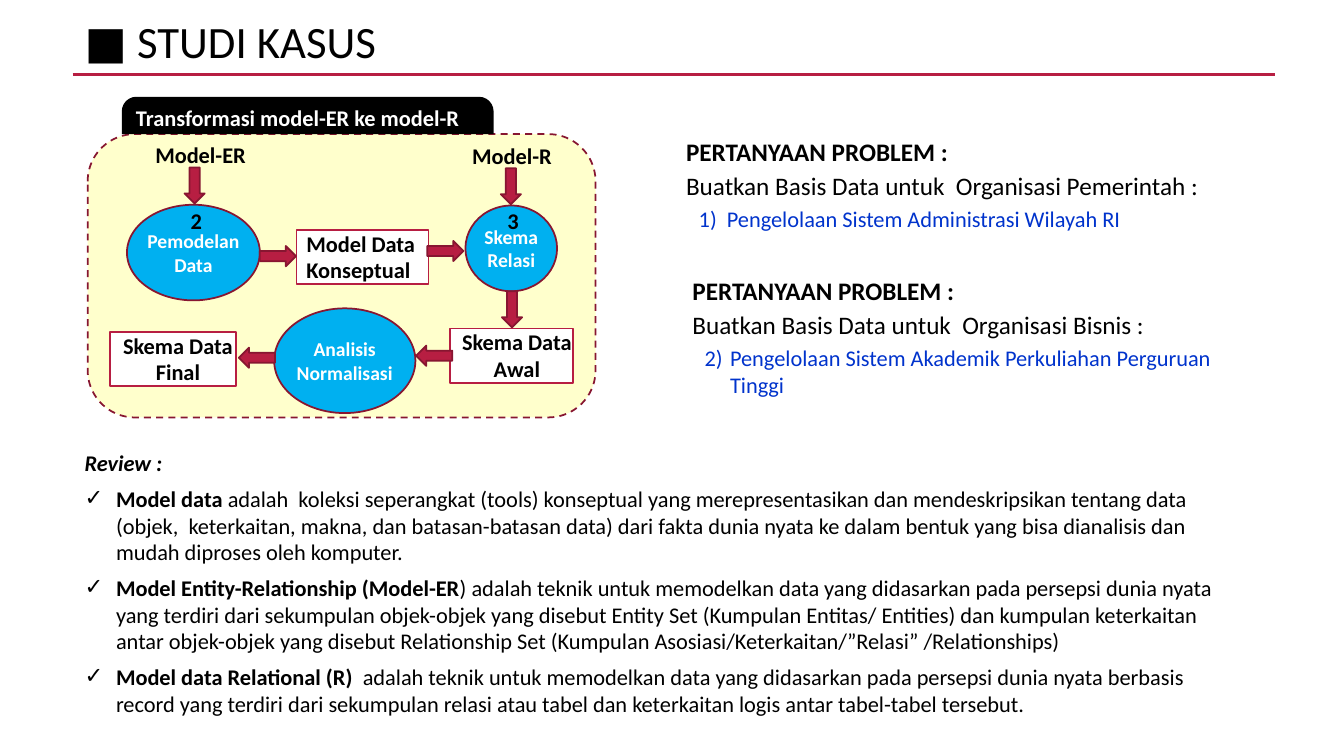
from dataclasses import dataclass

from lxml import etree
from pptx import Presentation
from pptx import util as u
from pptx.dml.color import RGBColor
from pptx.enum import dml, shapes, text
from pptx.oxml.ns import qn

FONT = "Calibri"
BLACK, WHITE, RED, DARK = "000000", "FFFFFF", "B71E42", "871631"
BLUE, SKY, CREAM = "0033CC", "00B0F0", "FFFFCC"
KIND = shapes.MSO_SHAPE
MID, LEFT = text.PP_ALIGN.CENTER, text.PP_ALIGN.LEFT


@dataclass
class Node:
    kind: KIND
    words: str
    left: float
    top: float
    width: float
    height: float
    align: text.PP_ALIGN = MID


@dataclass
class Arrow:
    kind: KIND
    left: float
    top: float


@dataclass
class Label:
    words: str
    left: float
    top: float
    width: float


@dataclass
class Task:
    left: float
    top: float
    height: float
    goal: str
    item: str
    margin: float
    indent: float


NODES = [
    Node(KIND.RECTANGLE, "Model Data\nKonseptual", 7.47, 5.79, 3.33, 1.37, LEFT),
    Node(KIND.OVAL, "Pemodelan\nData", 3.2, 5.16, 3.35, 2.41),
    Node(KIND.OVAL, "Skema\nRelasi", 11.73, 5.18, 2.31, 2.16),
    Node(KIND.OVAL, "Analisis\nNormalisasi", 6.91, 7.77, 3.56, 2.64),
    Node(KIND.RECTANGLE, "Skema Data\nAwal", 11.35, 8.28, 3.1, 1.37),
    Node(KIND.RECTANGLE, "Skema Data\nFinal", 2.77, 8.36, 3.18, 1.37),
]
ARROWS = [
    Arrow(KIND.DOWN_ARROW, 4.65, 4.22),
    Arrow(KIND.RIGHT_ARROW, 6.55, 6.2),
    Arrow(KIND.DOWN_ARROW, 12.62, 4.24),
    Arrow(KIND.RIGHT_ARROW, 10.77, 6.07),
    Arrow(KIND.DOWN_ARROW, 12.65, 7.34),
    Arrow(KIND.LEFT_ARROW, 10.49, 8.71),
    Arrow(KIND.LEFT_ARROW, 6.02, 8.76),
]
LABELS = [
    Label("Model-ER", 3.38, 3.56, 3.1),
    Label("Model-R", 11.23, 3.58, 3.1),
    Label("2", 4.47, 5.21, 0.71),
    Label("3", 12.45, 5.21, 0.71),
]
TASKS = [
    Task(17.04, 3.3, 2.77, "Buatkan Basis Data untuk  Organisasi Pemerintah :",
         "1)  Pengelolaan Sistem Administrasi Wilayah RI", 0.32, 0),
    Task(17.2, 6.81, 3.38, "Buatkan Basis Data untuk  Organisasi Bisnis :",
         "2) \tPengelolaan Sistem Akademik Perkuliahan Perguruan Tinggi", 0.95, -0.64),
]
REVIEW = [
    ("Model data ", "adalah  koleksi seperangkat (tools) konseptual yang merepresentasikan dan "
     "mendeskripsikan tentang data (objek,  keterkaitan, makna, dan batasan-batasan data) dari "
     "fakta dunia nyata ke dalam bentuk yang bisa dianalisis dan mudah diproses oleh komputer."),
    ("Model Entity-Relationship (Model-ER", ") adalah teknik untuk memodelkan data yang "
     "didasarkan pada persepsi dunia nyata yang terdiri dari sekumpulan objek-objek yang disebut "
     "Entity Set (Kumpulan Entitas/ Entities) dan kumpulan keterkaitan antar objek-objek yang "
     "disebut Relationship Set (Kumpulan Asosiasi/Keterkaitan/”Relasi” /Relationships)"),
    ("Model data Relational (R)  ", "adalah teknik untuk memodelkan data yang didasarkan pada "
     "persepsi dunia nyata berbasis record yang terdiri dari sekumpulan relasi atau tabel dan "
     "keterkaitan logis antar tabel-tabel tersebut."),
]


def tint(code: str) -> RGBColor:
    return RGBColor.from_string(code)


def place(shape, left: float, top: float, width: float, height: float) -> None:
    shape.left, shape.top = u.Cm(left), u.Cm(top)
    shape.width, shape.height = u.Cm(width), u.Cm(height)


def style(para, size: float, color: str = BLACK, bold: bool | None = None) -> None:
    para.font.name, para.font.size = FONT, u.Pt(size)
    para.font.color.rgb = tint(color)
    para.font.bold = bold


def indent(para, margin: float, first: float, mark: str = "") -> None:
    props = para._p.get_or_add_pPr()
    props.set("marL", str(u.Cm(margin)))
    props.set("indent", str(u.Cm(first)))
    bullet = etree.Element(qn("a:buChar" if mark else "a:buNone"))
    if mark:
        bullet.set("char", mark)
    ends = [child for child in props if child.tag == qn("a:defRPr")]
    if ends:
        ends[0].addprevious(bullet)
    else:
        props.append(bullet)


def write(shape, words: str, size: float, color: str, align=MID, inset: float = 0.25) -> None:
    frame = shape.text_frame
    frame.word_wrap = True
    frame.margin_left = u.Cm(inset)
    frame.margin_top = frame.margin_right = frame.margin_bottom = 0
    frame.text = words
    for para in frame.paragraphs:
        para.alignment = align
        style(para, size, color, True)


def draw(slide, kind: KIND, box: tuple, fill: str, line: str = ""):
    shape = slide.shapes.add_shape(kind, *map(u.Cm, box))
    shape._element.remove(shape._element.find(qn("p:style")))
    shape.shadow.inherit = False
    shape.fill.solid()
    shape.fill.fore_color.rgb = tint(fill)
    if line:
        shape.line.color.rgb = tint(line)
        shape.line.width = u.Pt(1.25)
    else:
        shape.line.fill.background()
    return shape


def add_node(slide, node: Node) -> None:
    oval = node.kind == KIND.OVAL
    box = (node.left, node.top, node.width, node.height)
    shape = draw(slide, node.kind, box, SKY if oval else WHITE, DARK if oval else RED)
    write(shape, node.words, 14 if oval else 16, WHITE if oval else BLACK,
          node.align, 0 if oval else 0.25)
    anchor = text.MSO_ANCHOR
    shape.text_frame.vertical_anchor = anchor.MIDDLE if oval else anchor.TOP


def add_arrow(slide, arrow: Arrow) -> None:
    size = (0.51, 0.91) if arrow.kind == KIND.DOWN_ARROW else (0.91, 0.51)
    draw(slide, arrow.kind, (arrow.left, arrow.top, *size), RED, DARK)


def add_label(slide, label: Label) -> None:
    box = slide.shapes.add_textbox(*map(u.Cm, (label.left, label.top, label.width, 0.69)))
    write(box, label.words, 16, BLACK)


def add_task(slide, task: Task) -> None:
    box = slide.shapes.add_textbox(*map(u.Cm, (task.left, task.top, 13.89, task.height)))
    frame = box.text_frame
    frame.word_wrap = True
    frame.text = "\n".join(["PERTANYAAN PROBLEM :", task.goal, task.item])
    head, goal, item = frame.paragraphs
    style(head, 18, bold=True)
    style(goal, 18)
    style(item, 16, BLUE)
    indent(item, task.margin, task.indent)
    for para in frame.paragraphs:
        para.space_after = u.Pt(3)


def add_title(slide) -> None:
    title = slide.shapes.title
    place(title, 1.88, 0.36, 31.24, 1.37)
    frame = title.text_frame
    frame.text = "■ STUDI KASUS"
    frame.auto_size = text.MSO_AUTO_SIZE.NONE
    frame.vertical_anchor = text.MSO_ANCHOR.TOP
    para = frame.paragraphs[0]
    para.alignment, para.line_spacing = LEFT, 0.9
    style(para, 32)
    rule = slide.shapes.add_connector(shapes.MSO_CONNECTOR.STRAIGHT,
                                      *map(u.Cm, (1.83, 1.88, 32.13, 1.88)))
    rule.line.color.rgb, rule.line.width = tint(RED), u.Pt(2.5)
    etree.SubElement(rule._element.spPr, qn("a:effectLst"))


def add_review(slide) -> None:
    body = slide.placeholders[1]
    place(body, 1.88, 11.2, 29.51, 7.06)
    frame = body.text_frame
    frame.auto_size = text.MSO_AUTO_SIZE.NONE
    frame.text = "Review :"
    head = frame.paragraphs[0]
    style(head, 16, bold=True)
    head.font.italic = True
    indent(head, 0, 0)
    for term, rest in REVIEW:
        para = frame.add_paragraph()
        style(para, 16)
        indent(para, 0.79, -0.79, "✓")
        for words, bold in ((term, True), (rest, False)):
            run = para.add_run()
            run.text, run.font.bold = words, bold
    for para in frame.paragraphs:
        para.space_before, para.space_after = u.Pt(0), u.Pt(6)


def main() -> None:
    deck = Presentation()
    deck.slide_width, deck.slide_height = u.Cm(33.87), u.Cm(19.05)
    slide = deck.slides.add_slide(deck.slide_layouts[1])
    add_title(slide)
    panel = draw(slide, KIND.ROUNDED_RECTANGLE, (2.21, 3.38, 12.8, 7.14), CREAM, DARK)
    panel.line.dash_style = dml.MSO_LINE.DASH
    for node in NODES:
        add_node(slide, node)
    for arrow in ARROWS:
        add_arrow(slide, arrow)
    for label in LABELS:
        add_label(slide, label)
    tab = draw(slide, KIND.ROUND_2_SAME_RECTANGLE, (3.07, 2.44, 9.37, 0.94), BLACK)
    tab.adjustments[0] = 0.39
    write(tab, "Transformasi model-ER ke model-R", 16, WHITE, LEFT)
    tab.text_frame.vertical_anchor = text.MSO_ANCHOR.MIDDLE
    for task in TASKS:
        add_task(slide, task)
    add_review(slide)
    deck.save("out.pptx")


if __name__ == "__main__":
    main()
